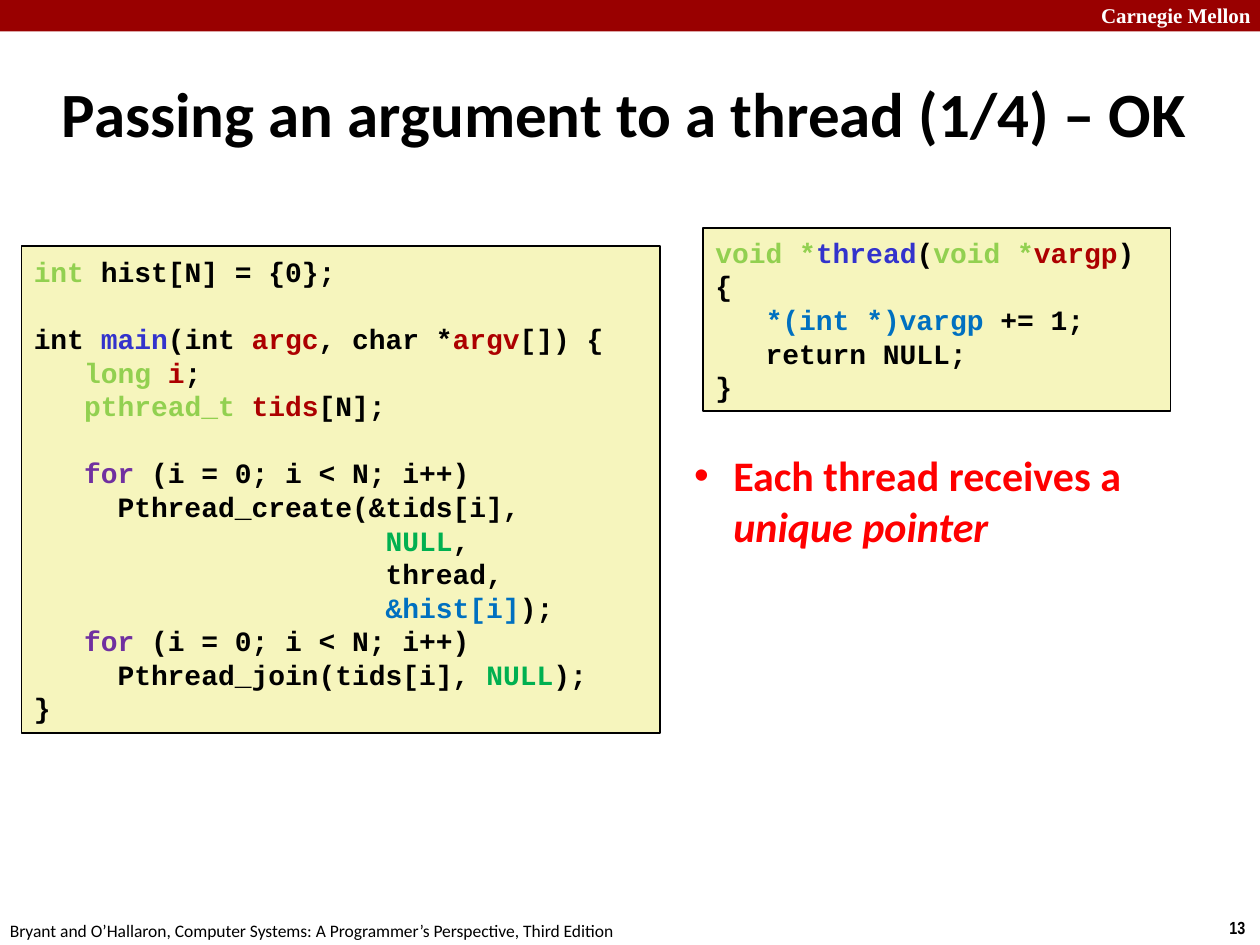
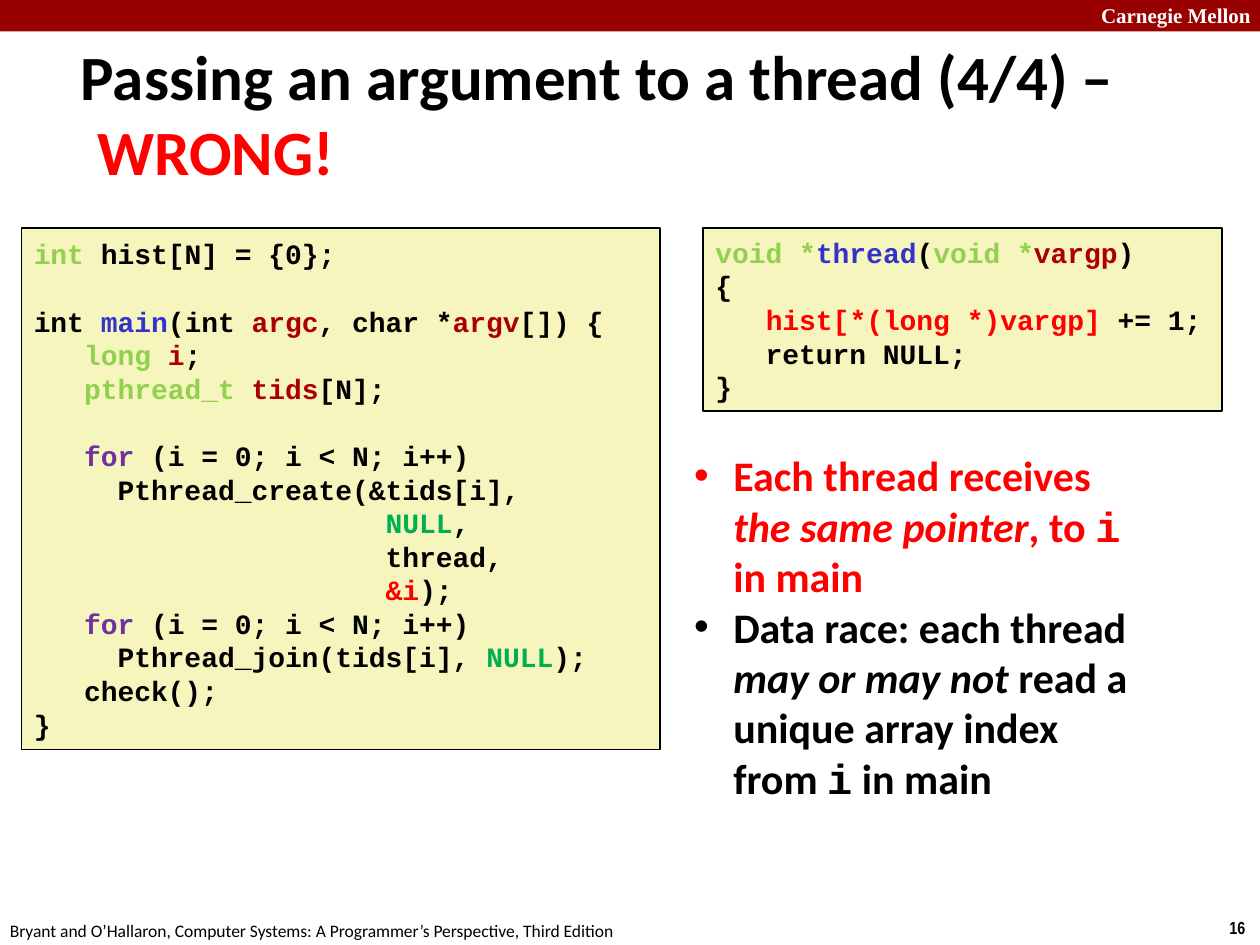
from dataclasses import dataclass
from typing import NamedTuple

from pptx import Presentation
from pptx.dml.color import RGBColor
from pptx.enum import shapes, text
from pptx.util import Inches, Pt

# Shared colours and fonts
BLACK, WHITE, RED = "000000", "FFFFFF", "FF0000"
BAND, CODE_FILL = "990000", "F6F5BD"
TYPE, FUNCTION, VARIABLE = "92D050", "3333CC", "AC0000"
KEYWORD, CONSTANT, ACCENT = "7030A0", "00B050", "0070C0"
BODY_FONT, CODE_FONT = "Calibri", "Courier New"
FOOTER = "Bryant and O’Hallaron, Computer Systems: A Programmer’s Perspective, Third Edition"


class Run(NamedTuple):
    text: str
    color: str | None = None
    italic: bool = False
    font: str | None = None


Line = list[Run | str]


class Box(NamedTuple):
    left: float
    top: float
    width: float
    height: float

    def emu(self) -> list[int]:
        return [Inches(length) for length in self]


class Style(NamedTuple):
    font: str
    size: int
    color: str = BLACK
    bold: bool = True
    hanging: float = 0


class Label(NamedTuple):
    box: Box
    style: Style
    wrap: bool = False


@dataclass
class Bullet:
    line: Line
    color: str


@dataclass
class ThreadSlide:
    number: int
    title: Line
    title_box: Box
    main_code: list[Line]
    main_box: Box
    thread_code: list[Line]
    thread_width: float
    bullets: list[Bullet]
    bullets_box: Box


CODE = Style(CODE_FONT, 16)
TITLE = Style(BODY_FONT, 36, hanging=0.13)
SCHOOL_LABEL = Label(Box(8.64, -0.03, 1.43, 0.3), Style("Times New Roman", 12, WHITE), True)
NUMBER_LABEL = Label(Box(9.66, 7.23, 0.34, 0.27), Style("Arial Narrow", 10))
FOOTER_LABEL = Label(Box(-0.02, 7.25, 5.08, 0.27), Style(BODY_FONT, 10, bold=False))


def rgb(color: str) -> RGBColor:
    return RGBColor.from_string(color)


def write_line(paragraph, line: Line, style: Style) -> None:
    """Fill a paragraph; a newline inside a run becomes a line break."""
    paragraph.alignment = text.PP_ALIGN.LEFT
    paragraph.space_before = Pt(0)
    if style.hanging:
        properties = paragraph._p.get_or_add_pPr()
        properties.set("marL", str(Inches(style.hanging)))
        properties.set("indent", str(-Inches(style.hanging)))
    font = paragraph.font
    font.name, font.size, font.bold = style.font, Pt(style.size), style.bold
    font.color.rgb = rgb(style.color)
    for part in line:
        part = Run(part) if isinstance(part, str) else part
        for index, piece in enumerate(part.text.split("\n")):
            if index:
                paragraph.add_line_break()
            if not piece:
                continue
            run = paragraph.add_run()
            run.text = piece
            if part.color:
                run.font.color.rgb = rgb(part.color)
            if part.italic:
                run.font.italic = True
            if part.font:
                run.font.name = part.font


def write_lines(frame, lines: list[Line], styles: list[Style]) -> None:
    for index, (line, style) in enumerate(zip(lines, styles)):
        paragraph = frame.add_paragraph() if index else frame.paragraphs[0]
        write_line(paragraph, line, style)


def add_rectangle(slide, box: Box, fill: str, outline: str | None = None):
    rectangle = slide.shapes.add_shape(shapes.MSO_SHAPE.RECTANGLE, *box.emu())
    rectangle.shadow.inherit = False
    rectangle.fill.solid()
    rectangle.fill.fore_color.rgb = rgb(fill)
    if outline:
        rectangle.line.color.rgb = rgb(outline)
        rectangle.line.width = Pt(1)
    else:
        rectangle.line.fill.background()
    return rectangle


def add_label(slide, label: Label, words: str) -> None:
    frame = slide.shapes.add_textbox(*label.box.emu()).text_frame
    frame.word_wrap = label.wrap
    write_line(frame.paragraphs[0], [words], label.style)


def add_code(slide, box: Box, lines: list[Line], wrap: bool) -> None:
    frame = add_rectangle(slide, box, CODE_FILL, BLACK).text_frame
    frame.word_wrap = wrap
    frame.vertical_anchor = text.MSO_ANCHOR.MIDDLE
    write_lines(frame, lines, [CODE] * len(lines))


def fill_placeholder(placeholder, box: Box, lines: list[Line], styles: list[Style]) -> None:
    placeholder.left, placeholder.top, placeholder.width, placeholder.height = box.emu()
    placeholder.text_frame.auto_size = text.MSO_AUTO_SIZE.NONE
    write_lines(placeholder.text_frame, lines, styles)


# Code listings that differ only in a few places
def main_listing(argument: Run, closing: list[Line]) -> list[Line]:
    loop: Line = ["   ", Run("for", KEYWORD), " (i = 0; i < N; i++)"]
    null = Run("NULL", CONSTANT)
    margin = " " * 21
    return [
        [Run("int ", TYPE), "hist[N] = {0};"],
        [],
        ["int ", Run("main", FUNCTION), "(int ", Run("argc", VARIABLE),
         ", char *", Run("argv", VARIABLE), "[]) {"],
        ["   ", Run("long ", TYPE), Run("i", VARIABLE), ";"],
        ["   ", Run("pthread_t ", TYPE), Run("tids", VARIABLE), "[N];"],
        [],
        loop,
        ["     Pthread_create(&tids[i],"],
        [margin, null, ","],
        [margin + "thread,"],
        [margin, argument, ");"],
        loop,
        ["     Pthread_join(tids[i], ", null, ");"],
        *closing,
    ]


def thread_listing(target: Run) -> list[Line]:
    return [
        [Run("void *", TYPE), Run("thread", FUNCTION), "(",
         Run("void *", TYPE), Run("vargp", VARIABLE), ")"],
        ["{"],
        ["   ", target, " += 1;"],
        ["   return NULL;"],
        ["}"],
    ]


INDEX_NAME = Run("i", font=CODE_FONT)
SLIDES = [
    ThreadSlide(
        number=13,
        title=["Passing an argument to a thread (1/4) – OK"],
        title_box=Box(0.39, 0.48, 9.48, 0.83),
        main_code=main_listing(Run("&hist[i]", ACCENT), [["}"]]),
        main_box=Box(0.17, 1.95, 5.07, 3.87),
        thread_code=thread_listing(Run("*(int *)vargp", ACCENT)),
        thread_width=3.71,
        bullets=[Bullet(["Each thread receives a ", Run("unique pointer", italic=True)], RED)],
        bullets_box=Box(5.41, 3.52, 4.32, 0.91),
    ),
    ThreadSlide(
        number=16,
        title=["Passing an argument to a thread (4/4) – ", Run("WRONG!", RED)],
        title_box=Box(0.54, 0.48, 9.16, 0.83),
        main_code=main_listing(Run("&i", RED), [["   check();"], ["}"]]),
        main_box=Box(0.17, 1.81, 5.07, 4.14),
        thread_code=thread_listing(Run("hist[*(long *)vargp]", RED)),
        thread_width=4.12,
        bullets=[
            Bullet(["Each thread receives\n", Run("the same pointer", italic=True),
                    ", to ", INDEX_NAME, " in main"], RED),
            Bullet(["Data race: each thread\n", Run("may or may not", italic=True),
                    " read a unique array index from ", INDEX_NAME, " in main"], BLACK),
        ],
        bullets_box=Box(5.41, 3.52, 3.64, 2.93),
    ),
]


def add_frame(slide, number: int) -> None:
    """Top band, school name, slide number and footer."""
    add_rectangle(slide, Box(0, 0, 10, 0.25), BAND)
    add_label(slide, SCHOOL_LABEL, "Carnegie Mellon")
    add_label(slide, NUMBER_LABEL, str(number))
    add_label(slide, FOOTER_LABEL, FOOTER)


def build_slide(deck, content: ThreadSlide) -> None:
    slide = deck.slides.add_slide(deck.slide_layouts[1])
    add_frame(slide, content.number)
    add_code(slide, content.main_box, content.main_code, wrap=True)
    add_code(slide, Box(5.58, 1.81, content.thread_width, 1.45), content.thread_code, wrap=False)
    fill_placeholder(slide.shapes.title, content.title_box, [content.title], [TITLE])
    fill_placeholder(
        slide.placeholders[1],
        content.bullets_box,
        [bullet.line for bullet in content.bullets],
        [Style(BODY_FONT, 24, bullet.color, hanging=0.31) for bullet in content.bullets],
    )


def main() -> None:
    deck = Presentation()
    deck.slide_width, deck.slide_height = Inches(10), Inches(7.5)
    for content in SLIDES:
        build_slide(deck, content)
    deck.save("out.pptx")


if __name__ == "__main__":
    main()
